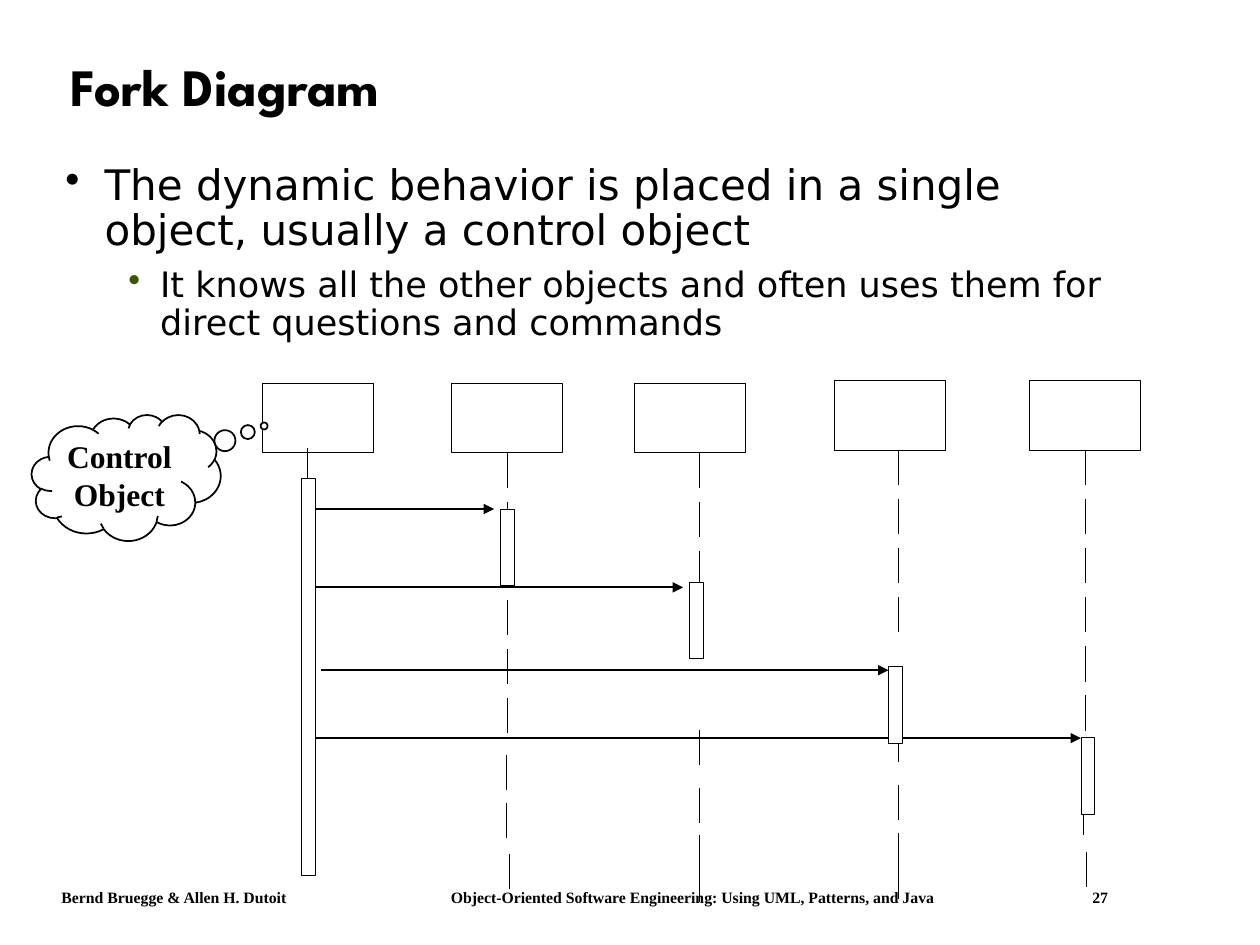
"""Build the Fork Diagram slide: one control object calling four others."""
import lxml.etree
import pptx
import pptx.dml.color
import pptx.enum.shapes
import pptx.enum.text
import pptx.oxml.ns
import pptx.util

Cm, Pt = pptx.util.Cm, pptx.util.Pt
qn = pptx.oxml.ns.qn
MSO = pptx.enum.shapes.MSO_SHAPE
STRAIGHT = pptx.enum.shapes.MSO_CONNECTOR.STRAIGHT
ALIGN = pptx.enum.text.PP_ALIGN
ANCHOR = pptx.enum.text.MSO_ANCHOR
SERIF = "Times New Roman"


def rgb(value):
    return pptx.dml.color.RGBColor.from_string(value)


def add_text(tf, text, size, font, bold=False, align=ALIGN.LEFT, spacing=None,
             before=0, level=0, bullet=None, margin=0, hanging=0, tabs=()):
    p = tf.paragraphs[0] if not tf.text else tf.add_paragraph()
    p.alignment, p.line_spacing, p.level = align, spacing, level
    p.space_before = Pt(before)
    pPr = p._p.get_or_add_pPr()
    if bullet:
        pPr.set("marL", str(Cm(margin)))
        pPr.set("indent", str(-Cm(hanging)))
        color = lxml.etree.SubElement(pPr, qn("a:buClr"))
        lxml.etree.SubElement(color, qn("a:srgbClr"), val=bullet)
        lxml.etree.SubElement(pPr, qn("a:buChar"), char="•")
    if tabs:
        stops = lxml.etree.SubElement(pPr, qn("a:tabLst"))
        for pos in tabs:
            lxml.etree.SubElement(stops, qn("a:tab"), pos=str(Cm(pos)), algn="l")
    r = p.add_run()
    r.text = text
    r.font.size, r.font.name, r.font.bold = Pt(size), font, bold
    r.font.color.rgb = rgb("000000")


prs = pptx.Presentation()
prs.slide_width, prs.slide_height = Cm(25.4), Cm(19.05)
s = prs.slides.add_slide(prs.slide_layouts[5])

title = s.shapes.title
title.left, title.top, title.width, title.height = Cm(1.17), Cm(0.61), Cm(22.66), Cm(2.39)
title.text_frame.auto_size = pptx.enum.text.MSO_AUTO_SIZE.NONE
title.text_frame.vertical_anchor = ANCHOR.MIDDLE
add_text(title.text_frame, "Fork Diagram", 30, "League Spartan", bold=True, spacing=0.9)

body = s.shapes.add_textbox(Cm(1.07), Cm(3.18), Cm(22.23), Cm(4.01)).text_frame
body.word_wrap = True
add_text(body, "The dynamic behavior is placed in a single object, usually a control object",
         24, "DejaVu Sans", spacing=0.9, bullet="000000", margin=0.79, hanging=0.79)
add_text(body, "It knows all the other objects and often uses them for direct questions and commands",
         20, "DejaVu Sans", spacing=0.9, before=7.5, level=1, bullet="3D5500",
         margin=1.91, hanging=0.64)

footer = s.shapes.add_textbox(Cm(0.99), Cm(17.78), Cm(23.29), Cm(0.64)).text_frame
footer.word_wrap = True
add_text(footer, "Bernd Bruegge & Allen H. Dutoit\tObject-Oriented Software Engineering: "
         "Using UML, Patterns, and Java\t27", 9, SERIF, bold=True, tabs=(7.85, 20.78))

objects = [(5.28, 7.72), (9.1, 7.72), (12.78, 7.72), (16.81, 7.67), (20.75, 7.67)]
boxes = [(MSO.RECTANGLE, x, y, 2.24, 1.4, 0.37, None) for x, y in objects]
bars = [(6.07, 9.65, 8), (10.08, 10.26, 1.55), (13.89, 11.73, 1.55),
        (17.91, 13.44, 1.55), (21.79, 14.86, 1.55)]
activations = [(MSO.RECTANGLE, x, y, 0.28, h, 0.37, "FFFFFF") for x, y, h in bars]
cloud = (MSO.CLOUD_CALLOUT, 0.64, 8.36, 3.81, 2.54, 1, "FFFFFF")

dash_length, dash_step = 0.71, 0.99
lifelines = [
    (10.22, 9.12, 6, [(10.21, 15.21), (10.21, 16.18), (10.26, 17.22)]),
    (14.1, 9.12, 3, [(14.1, y) for y in (14.71, 15.88, 16.84, 17.48)]),
    (18.11, 9.07, 4, [(18.11, y) for y in (14.66, 15.82, 16.79, 17.42)]),
    (21.87, 9.07, 6, [(21.84, 16.13), (21.9, 17.17)]),
]
dashes = [(6.2, 9.04)]
for x, top, count, lower in lifelines:
    dashes += [(x, top + i * dash_step) for i in range(count)] + lower
messages = [(6.35, 9.96, 10.26), (6.35, 13.77, 11.84), (6.48, 17.91, 13.51), (6.35, 21.79, 14.88)]
lines = [(x, y, x, y + dash_length, 0.37) for x, y in dashes]
lines += [(x1, y, x2, y, 1) for x1, x2, y in messages]

shapes = []
for kind, x, y, w, h, weight, fill in boxes:
    sp = s.shapes.add_shape(kind, Cm(x), Cm(y), Cm(w), Cm(h))
    sp.shadow.inherit = False
    sp.fill.background()
    sp.line.color.rgb, sp.line.width = rgb("000000"), Pt(weight)
    shapes.append(sp)

for x1, y1, x2, y2, weight in lines:
    cx = s.shapes.add_connector(STRAIGHT, Cm(x1), Cm(y1), Cm(x2), Cm(y2))
    cx.line.color.rgb, cx.line.width = rgb("000000"), Pt(weight)
    if y1 == y2:
        lxml.etree.SubElement(cx.line._get_or_add_ln(), qn("a:tailEnd"), type="triangle")
    lxml.etree.SubElement(cx._element.spPr, qn("a:effectLst"))
    for box, (left, top) in zip(shapes, objects):
        if (round(left + 1.12, 2), round(top + 1.4, 2)) == (x1, y1):
            cx.begin_connect(box, 2)

for kind, x, y, w, h, weight, fill in activations + [cloud]:
    sp = s.shapes.add_shape(kind, Cm(x), Cm(y), Cm(w), Cm(h))
    sp.shadow.inherit = False
    sp.fill.solid()
    sp.fill.fore_color.rgb = rgb(fill)
    sp.line.color.rgb, sp.line.width = rgb("000000"), Pt(weight)

sp.adjustments[0], sp.adjustments[1] = 0.73, -0.41
tf = sp.text_frame
tf.word_wrap = False
tf.vertical_anchor = ANCHOR.MIDDLE
for word in ("Control", "Object"):
    add_text(tf, word, 18, SERIF, bold=True, align=ALIGN.CENTER)

prs.save("out.pptx")
